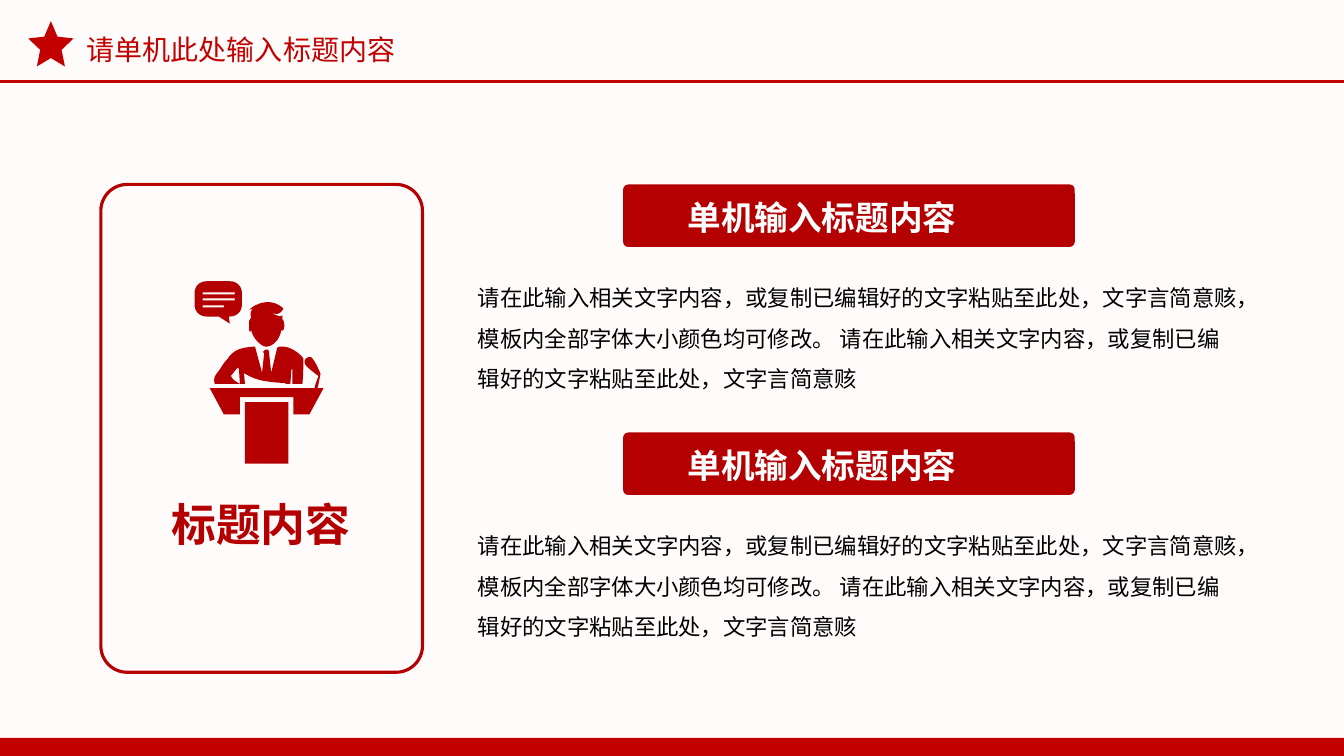
from dataclasses import dataclass

from lxml.etree import SubElement
from pptx import Presentation
from pptx.dml.color import RGBColor
from pptx.enum.lang import MSO_LANGUAGE_ID as Language
from pptx.enum.shapes import MSO_CONNECTOR as Connector, MSO_SHAPE as Preset
from pptx.enum.text import MSO_ANCHOR as Anchor, MSO_AUTO_SIZE as AutoSize, PP_ALIGN as Align
from pptx.oxml.ns import qn
from pptx.util import Inches, Pt


@dataclass(frozen=True)
class Theme:
    background: str = "FFFBFB"
    header: str = "C20000"
    accent: str = "B40000"
    white: str = "FFFFFF"
    black: str = "000000"
    latin: str = "Noto Sans"
    chinese: str = "Noto Sans CJK SC"
    title_size: int = 20
    card_size: int = 32
    heading_size: int = 24
    body_size: int = 16


THEME = Theme()
WIDTH, HEIGHT = 13.33, 7.5

TITLE = "请单机此处输入标题内容"
CARD_LABEL = "标题内容"
BODY = ("请在此输入相关文字内容，或复制已编辑好的文字粘贴至此处，文字言简意赅，"
        "模板内全部字体大小颜色均可修改。 请在此输入相关文字内容，"
        "或复制已编辑好的文字粘贴至此处，文字言简意赅")
SECTIONS = [("单机输入标题内容", BODY), ("单机输入标题内容", BODY)]
SECTION_TOP, SECTION_STEP = 1.83, 2.46

# Icon outlines in inches: a pair is a straight step, six numbers are a cubic curve.
TORSO = [
    (3, 3.81), (3.01, 3.69, 3.01, 3.58, 3.01, 3.56), (3, 3.53, 2.88, 3.42, 2.77, 3.44),
    (2.75, 3.45), (2.69, 3.7), (2.67, 3.51), (2.67, 3.49), (2.66, 3.47), (2.63, 3.47),
    (2.61, 3.49), (2.62, 3.51), (2.6, 3.69), (2.6, 3.7), (2.53, 3.44), (2.51, 3.44),
    (2.4, 3.45, 2.32, 3.46, 2.25, 3.57), (2.21, 3.61, 2.2, 3.64, 2.17, 3.68),
    (2.12, 3.74, 2.12, 3.76, 2.13, 3.81), (2.43, 3.81), (2.42, 3.7),
    (2.42, 3.7, 2.5, 3.76, 2.62, 3.78), (2.74, 3.8, 2.83, 3.8, 2.83, 3.8),
    (2.83, 3.81), (2.88, 3.81), (2.89, 3.67), (2.9, 3.66), (2.9, 3.81),
]
ARM_GAP = [
    (2.29, 3.73), (2.33, 3.68, 2.36, 3.64, 2.36, 3.65), (2.37, 3.66), (2.38, 3.81),
    (2.32, 3.77, 2.32, 3.78, 2.29, 3.73),
]
HEAD = [
    (2.48, 3.17), (2.47, 3.17, 2.47, 3.2, 2.47, 3.23), (2.47, 3.26, 2.47, 3.29, 2.48, 3.29),
    (2.49, 3.29, 2.49, 3.28, 2.49, 3.27), (2.51, 3.37, 2.6, 3.44, 2.64, 3.44),
    (2.7, 3.44, 2.78, 3.37, 2.79, 3.27), (2.79, 3.28, 2.8, 3.28, 2.8, 3.28),
    (2.81, 3.28, 2.82, 3.26, 2.82, 3.23), (2.82, 3.2, 2.81, 3.17, 2.8, 3.17),
    (2.8, 3.13), (2.77, 3.15, 2.72, 3.12, 2.67, 3.09), (2.69, 3.1),
    (2.78, 3.15, 2.81, 3.06, 2.81, 3.06), (2.81, 3.06, 2.7, 2.94, 2.53, 3.03),
    (2.51, 3.04, 2.49, 3.06, 2.47, 3.07), (2.51, 3.07),
    (2.49, 3.08, 2.48, 3.1, 2.49, 3.15),
]
LECTERN_TOP = [
    (2.38, 4.11), (2.38, 3.94), (2.91, 3.94), (2.91, 4.11), (3.07, 4.11), (3.21, 3.85),
    (3.15, 3.85), (3.16, 3.81), (3.18, 3.71), (3.18, 3.71, 3.11, 3.53, 3.07, 3.54),
    (3.02, 3.55, 2.99, 3.6, 3.07, 3.66), (3.14, 3.72, 3.16, 3.73, 3.16, 3.73),
    (3.13, 3.81), (3.12, 3.85), (2.08, 3.85), (2.22, 4.11),
]
BUBBLE = [
    (2.17, 3.14), (2.28, 3.21), (2.27, 3.14), (2.28, 3.14),
    (2.35, 3.14, 2.4, 3.09, 2.4, 3.02), (2.4, 2.91), (2.4, 2.84, 2.35, 2.79, 2.28, 2.79),
    (2.05, 2.79), (1.98, 2.79, 1.93, 2.84, 1.93, 2.91), (1.93, 3.02),
    (1.93, 3.09, 1.98, 3.14, 2.05, 3.14),
]
BUBBLE_LINES = [[(2.01, top), (right, top), (right, top + 0.02), (2.01, top + 0.02)]
                for top, right in [(2.9, 2.33), (2.96, 2.33), (3.03, 2.22)]]
ICON = [[TORSO, ARM_GAP], [HEAD], [LECTERN_TOP], [BUBBLE, *BUBBLE_LINES]]
LECTERN_POST = (2.43, 3.99, 0.43, 0.61)


def color(value):
    return RGBColor.from_string(value)


def paint(shape, fill=None, line=None, weight=2.25):
    shape.shadow.inherit = False
    if fill:
        shape.fill.solid()
        shape.fill.fore_color.rgb = color(fill)
    else:
        shape.fill.background()
    if line:
        shape.line.color.rgb = color(line)
        shape.line.width = Pt(weight)
    else:
        shape.line.fill.background()


def add_preset(shapes, preset, box, adjustment=None, **style):
    shape = shapes.add_shape(preset, *map(Inches, box))
    if adjustment is not None:
        shape.adjustments[0] = adjustment
    paint(shape, **style)
    return shape


def write(shape, text, size, ink, font=THEME.latin, bold=False, align=Align.LEFT, spacing=1.0):
    frame = shape.text_frame
    frame.word_wrap = True
    frame.auto_size = AutoSize.NONE
    frame.vertical_anchor = Anchor.TOP
    paragraph = frame.paragraphs[0]
    paragraph.alignment = align
    paragraph.line_spacing = spacing
    run = paragraph.add_run()
    run.text = text
    run.font.name = font
    run.font.size = Pt(size)
    run.font.bold = bold
    run.font.color.rgb = color(ink)
    run.font.language_id = Language.SIMPLIFIED_CHINESE
    east_asian = SubElement(run.font._element, qn("a:ea"))
    east_asian.set("typeface", THEME.chinese)


def add_text(shapes, box, text, **style):
    write(shapes.add_textbox(*map(Inches, box)), text, **style)


def flatten(outline, pieces=8):
    """Turn an outline with cubic curves into a list of EMU points."""
    points = [outline[0]]
    for step in outline[1:]:
        if len(step) == 2:
            points.append(step)
            continue
        corners = [points[-1], step[:2], step[2:4], step[4:]]
        for index in range(1, pieces + 1):
            t = index / pieces
            weights = ((1 - t) ** 3, 3 * t * (1 - t) ** 2, 3 * t * t * (1 - t), t ** 3)
            points.append(tuple(sum(w * corner[axis] for w, corner in zip(weights, corners))
                                for axis in (0, 1)))
    return [(Inches(x), Inches(y)) for x, y in points]


def add_outline(shapes, contours):
    first, *holes = map(flatten, contours)
    builder = shapes.build_freeform(*first[0])
    builder.add_line_segments(first[1:], close=True)
    for hole in holes:
        builder.move_to(*hole[0])
        builder.add_line_segments(hole[1:], close=True)
    paint(builder.convert_to_shape(), fill=THEME.accent)


def add_header(slide):
    add_preset(slide.shapes, Preset.RECTANGLE, (0, 7.32, WIDTH, HEIGHT - 7.32), fill=THEME.header)
    add_preset(slide.shapes, Preset.STAR_5_POINT, (0.28, 0.21, 0.45, 0.45), 0.236,
               fill=THEME.header)
    title = slide.shapes.title
    title.left, title.top, title.width, title.height = map(Inches, (0.76, 0.27, 4.02, 0.44))
    write(title, TITLE, size=THEME.title_size, ink=THEME.header)
    rule = slide.shapes.add_connector(Connector.STRAIGHT, 0, Inches(0.81),
                                      Inches(WIDTH), Inches(0.81))
    rule.line.color.rgb = color(THEME.header)
    rule.line.width = Pt(1.75)
    SubElement(rule._element.spPr, qn("a:effectLst"))


def add_card(shapes):
    add_preset(shapes, Preset.ROUNDED_RECTANGLE, (1, 1.83, 3.19, 4.84), 0.082, line=THEME.accent)
    add_text(shapes, (1.21, 4.88, 2.76, 0.64), CARD_LABEL, size=THEME.card_size,
             ink=THEME.accent, bold=True, align=Align.CENTER)
    icon = shapes.add_group_shape().shapes
    for contours in ICON:
        add_outline(icon, contours)
    add_preset(icon, Preset.RECTANGLE, LECTERN_POST, fill=THEME.accent)


def add_section(shapes, top, heading, body):
    add_preset(shapes, Preset.ROUNDED_RECTANGLE, (6.18, top, 4.48, 0.62), 0.082,
               fill=THEME.accent)
    add_text(shapes, (6.72, top + 0.07, 3.4, 0.5), heading, size=THEME.heading_size,
             ink=THEME.white, bold=True, align=Align.JUSTIFY)
    add_text(shapes, (4.64, top + 0.81, 7.78, 1.27), body, size=THEME.body_size,
             ink=THEME.black, font=THEME.chinese, spacing=1.5)


def main():
    presentation = Presentation()
    presentation.slide_width, presentation.slide_height = Inches(WIDTH), Inches(HEIGHT)
    slide = presentation.slides.add_slide(presentation.slide_layouts[5])
    slide.background.fill.solid()
    slide.background.fill.fore_color.rgb = color(THEME.background)
    add_header(slide)
    add_card(slide.shapes)
    for index, (heading, body) in enumerate(SECTIONS):
        add_section(slide.shapes, SECTION_TOP + index * SECTION_STEP, heading, body)
    presentation.save("out.pptx")


if __name__ == "__main__":
    main()
